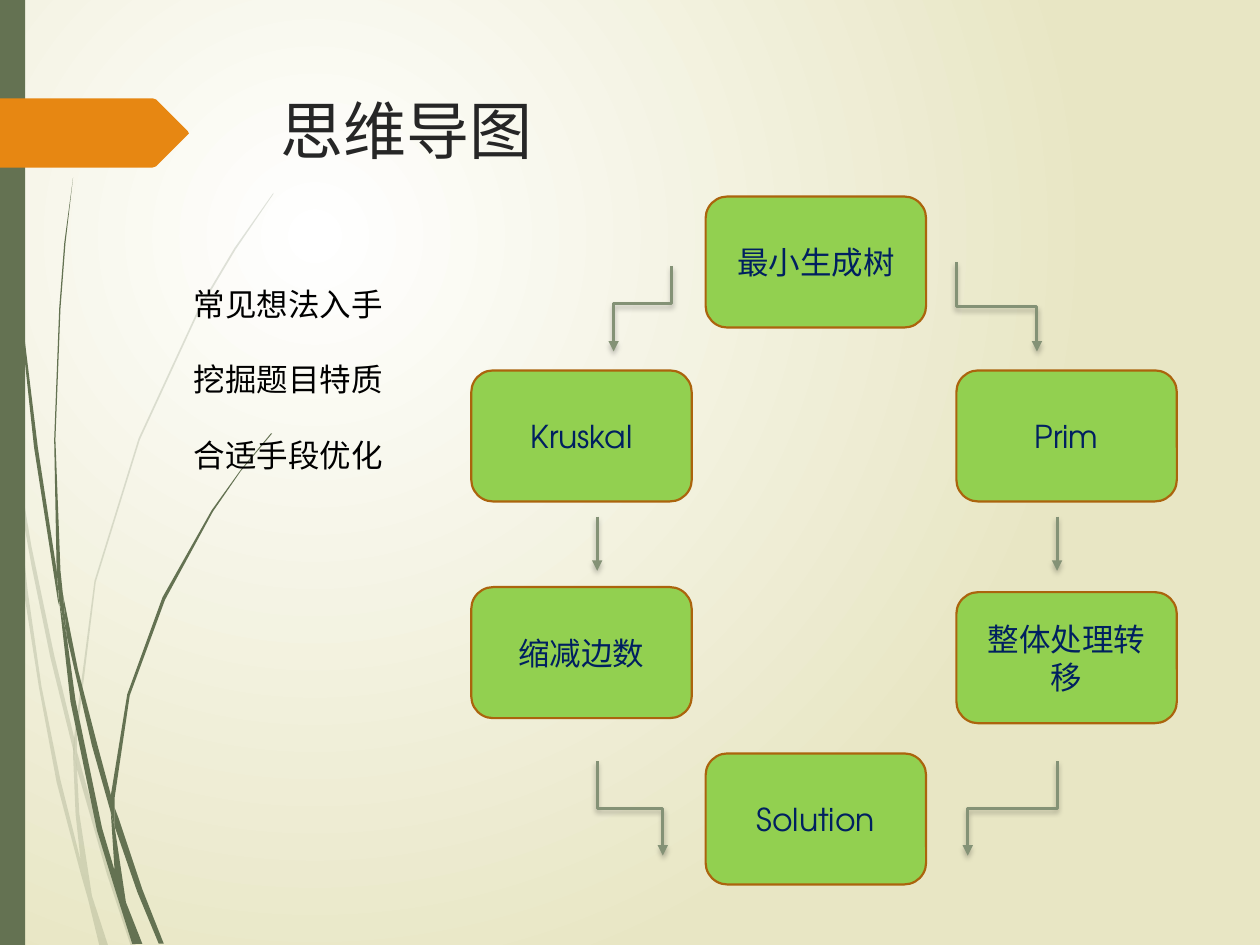
import lxml.etree
import pptx
import pptx.dml.color
import pptx.enum.shapes
import pptx.enum.text
import pptx.oxml
import pptx.oxml.ns
import pptx.util

Inches, Pt = pptx.util.Inches, pptx.util.Pt
PP_ALIGN, MSO_ANCHOR = pptx.enum.text.PP_ALIGN, pptx.enum.text.MSO_ANCHOR
SHAPE, CONNECTOR = pptx.enum.shapes.MSO_SHAPE, pptx.enum.shapes.MSO_CONNECTOR
qn = pptx.oxml.ns.qn

FONT = "TeX Gyre Adventor"
COLORS = {
    "white": "FFFFFF", "cream": "E8E6C4", "olive": "647252", "orange": "E78712",
    "title": "262626", "black": "000000", "box": "92D050", "box_line": "AB640D",
    "box_text": "002060", "arrow": "849276",
}

# Each blade is a closed outline of x,y pairs in inches.
PALE_BLADES = [
    "0.08,3.5 0.06,3.22 0,2.82 0,2.99 0.07,3.44",
    "0.4,5.22 0.59,5.99 0.59,5.86 0.43,5.2 0.25,4.34 0.1,3.45 0.12,3.76 0.25,4.49",
    "0.64,6.07 0.61,5.96 0.61,6.1 0.85,6.94 1.04,7.51 1.08,7.51 0.88,6.92",
    "0.64,6.83 0.48,6.19 0.33,5.45 0.22,4.69 0.12,3.76 0.08,3.5 0.19,4.7 0.31,5.46 0.45,6.21 "
    "0.64,6.93 0.7,7.14 0.79,7.51 0.86,7.51 0.73,7.11 0.63,6.46 0.61,6.08 0.58,5.99 0.6,6.46",
    "0.61,5.84 0.76,4.62 1.11,3.49 1.59,2.45 1.87,1.98 2.17,1.54 2.17,1.53 1.86,1.97 "
    "1.58,2.44 1.1,3.48 0.75,4.61 0.59,5.84 0.58,5.99 0.61,6.08",
]
DARK_BLADES = [
    "0.05,1.1 0.14,2.33 0.27,3.55 0.46,4.77 0.47,4.81 0.45,4.53 0.3,3.55 0.15,2.32 0.06,1.09 0.03,0 0.02,0",
    "0.73,5.92 0.88,6.45 0.88,6.31 0.77,5.9 0.62,5.32 0.5,4.72 0.53,5.05",
    "0.94,6.49 0.91,6.41 0.91,6.56 1.09,7.08 1.26,7.49 1.3,7.49 1.13,7.06",
    "0.91,6.91 0.81,6.57 0.6,5.56 0.53,5.05 0.47,4.77 0.56,5.57 0.77,6.59 0.92,7.08 "
    "1.05,7.49 1.13,7.49 1,7.16 0.91,6.56 0.88,6.45",
    "0.53,5.05 0.5,4.72 0.48,4.53 0.44,3.49 0.48,2.45 0.52,1.93 0.58,1.41 0.51,1.93 "
    "0.47,2.45 0.43,3.49 0.45,4.53 0.47,4.77",
    "0.91,6.33 1.03,5.52 1.31,4.76 1.69,4.06 1.91,3.74 2.16,3.44 2.15,3.44 1.91,3.73 "
    "1.68,4.05 1.29,4.74 1.01,5.51 0.88,6.31 0.88,6.45 0.91,6.56",
]
PENTAGON = "0,0.78 1.21,0.78 1.24,0.79 1.49,1.04 1.5,1.06 1.49,1.07 1.24,1.32 1.21,1.33 0,1.33"


def rgb(name):
    return pptx.dml.color.RGBColor.from_string(COLORS[name])


def add_xml(parent, tag, **attrs):
    return lxml.etree.SubElement(parent, qn(tag), {k: str(v) for k, v in attrs.items()})


def to_points(outline):
    return [tuple(Inches(float(n)) for n in pair.split(",")) for pair in outline.split()]


def write_text(tf, text, size=18, color="black", align=PP_ALIGN.LEFT, anchor=MSO_ANCHOR.TOP, gap=0):
    tf.word_wrap = True
    tf.vertical_anchor = anchor
    for i, line in enumerate(text.split("\n")):
        p = tf.paragraphs[0] if i == 0 else tf.add_paragraph()
        p.alignment, p.space_after = align, Pt(gap)
        r = p.add_run()
        r.text = line
        r.font.name, r.font.size, r.font.color.rgb = FONT, Pt(size), rgb(color)


class SlideBuilder:
    """Holds the current slide and draws each kind of element on it."""

    def __init__(self, slide):
        self.slide, self.shapes = slide, slide.shapes

    def background(self):
        fill = self.slide.background.fill
        fill.gradient()
        for stop, name in zip(fill.gradient_stops, ("white", "cream")):
            stop.color.rgb = rgb(name)
        grad = self.slide.element.find(".//" + qn("a:gradFill"))
        grad.remove(grad.find(qn("a:lin")))
        circle = add_xml(grad, "a:path", path="circle")
        add_xml(circle, "a:fillToRect", l=50000, t=50000, r=100000, b=100000)

    def paint(self, sp, fill, line=None):
        sp.shadow.inherit = False
        sp.fill.solid()
        sp.fill.fore_color.rgb = rgb(fill)
        if line:
            sp.line.color.rgb, sp.line.width = rgb(line), Pt(1.25)
        else:
            sp.line.fill.background()

    def outline(self, outline, fill, opacity=100):
        start, *rest = to_points(outline)
        builder = self.shapes.build_freeform(*start)
        builder.add_line_segments(rest, close=True)
        sp = builder.convert_to_shape()
        self.paint(sp, fill)
        if opacity < 100:
            color = sp.element.spPr.find(qn("a:solidFill"))[0]
            add_xml(color, "a:alpha", val=opacity * 1000)

    def shape(self, kind, x, y, w, h, fill, line=None):
        sp = self.shapes.add_shape(kind, Inches(x), Inches(y), Inches(w), Inches(h))
        self.paint(sp, fill, line)
        return sp

    def node(self, x, y, text):
        sp = self.shape(SHAPE.ROUNDED_RECTANGLE, x, y, 1.75, 1.04, "box", "box_line")
        write_text(sp.text_frame, text, color="box_text", align=PP_ALIGN.CENTER, anchor=MSO_ANCHOR.MIDDLE)

    def text(self, x, y, w, h, text, **style):
        box = self.shapes.add_textbox(Inches(x), Inches(y), Inches(w), Inches(h))
        write_text(box.text_frame, text, **style)

    def arrow(self, x1, y1, x2, y2, bend=0.5):
        """Draw a downward arrow; a sideways step turns an elbow on its side."""
        if x1 == x2:
            c = self.shapes.add_connector(CONNECTOR.STRAIGHT, Inches(x1), Inches(y1), Inches(x2), Inches(y2))
        else:
            side = 1 if x2 > x1 else -1
            mid_x, mid_y = (x1 + x2) / 2, (y1 + y2) / 2
            half_w, half_h = side * (y2 - y1) / 2, abs(x2 - x1) / 2
            c = self.shapes.add_connector(CONNECTOR.ELBOW, Inches(mid_x + half_w), Inches(mid_y - half_h),
                                          Inches(mid_x - half_w), Inches(mid_y + half_h))
            if side < 0:
                c.begin_x, c.end_x = Inches(mid_x + half_w), Inches(mid_x - half_w)
            c.element.spPr.find(qn("a:xfrm")).set("rot", str((270 if side > 0 else 90) * 60000))
            guides = c.element.spPr.find(qn("a:prstGeom")).find(qn("a:avLst"))
            add_xml(guides, "a:gd", name="adj1", fmla=f"val {round(bend * 100000)}")
        c.line.color.rgb, c.line.width = rgb("arrow"), Pt(1.75)
        add_xml(c.element.spPr.find(qn("a:ln")), "a:tailEnd", type="triangle")
        effects = add_xml(c.element.spPr, "a:effectLst")
        shadow = add_xml(effects, "a:outerShdw", blurRad=Pt(3), dist=Pt(2), dir=90 * 60000, rotWithShape=0)
        add_xml(add_xml(shadow, "a:srgbClr", val=COLORS["black"]), "a:alpha", val=25000)


def main():
    prs = pptx.Presentation()
    prs.slide_width, prs.slide_height = Inches(10), Inches(7.5)
    s = SlideBuilder(prs.slides.add_slide(prs.slide_layouts[6]))
    s.background()
    for blades, opacity in [(PALE_BLADES, 20), (DARK_BLADES, 100)]:
        for blade in blades:
            s.outline(blade, "olive", opacity)
    s.shape(SHAPE.RECTANGLE, 0, 0, 0.2, 7.5, "olive")
    s.outline(PENTAGON, "orange")
    s.text(2.13, 0.68, 7.21, 1.4, "思维导图", size=36, color="title")

    left, middle, right = 3.74, 5.6, 7.59
    for x, y, label in [(middle, 1.56, "最小生成树"), (left, 2.94, "Kruskal"), (right, 2.94, "Prim"),
                        (left, 4.66, "缩减边数"), (right, 4.7, "整体处理转移"), (middle, 5.98, "Solution")]:
        s.node(x, y, label)
    s.arrow(5.33, 2.11, 4.87, 2.79, bend=0.44)
    s.arrow(7.59, 2.08, 8.23, 2.79)
    for x, turn_x in [(4.74, 5.26), (8.39, 7.68)]:
        s.arrow(x, 4.1, x, 4.53)
        s.arrow(x, 6.04, turn_x, 6.79)
    s.text(1.44, 2.21, 2.73, 2.22, "常见想法入手\n挖掘题目特质\n合适手段优化", gap=21.7)
    prs.save("out.pptx")


if __name__ == "__main__":
    main()
